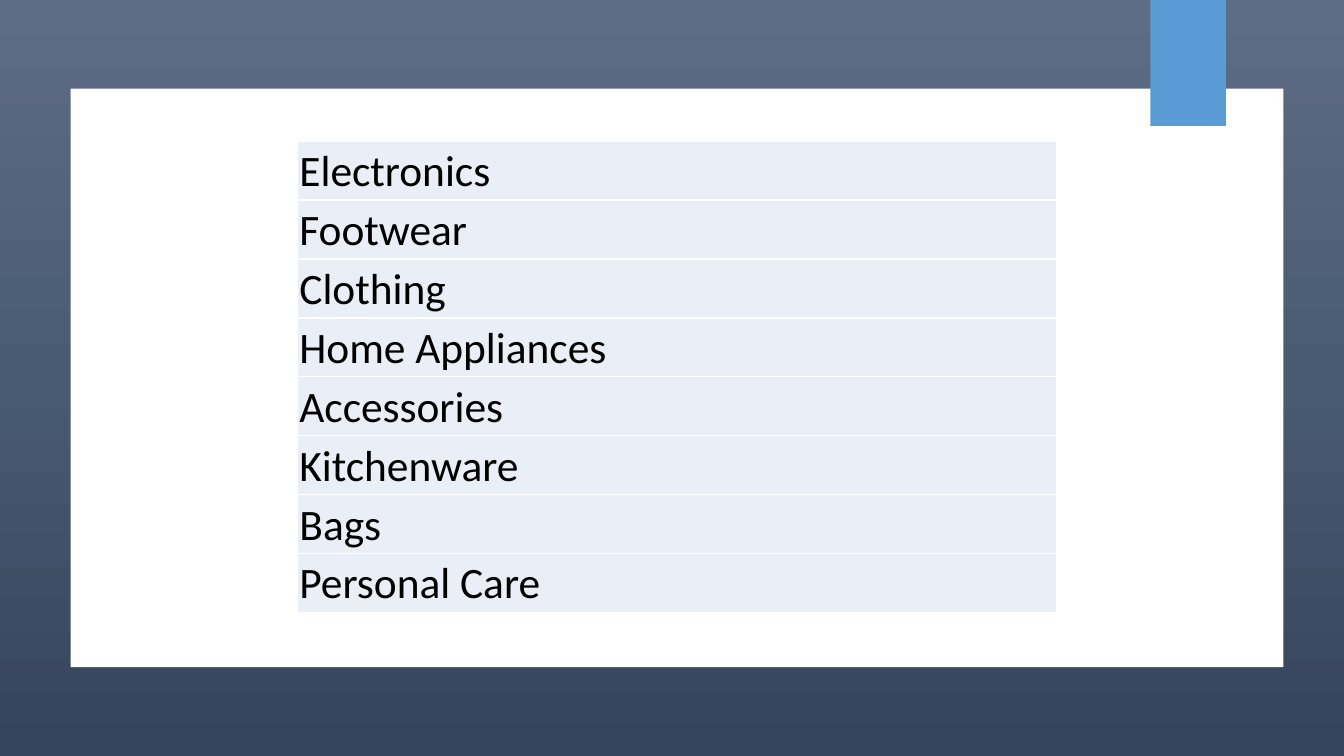
"""Build a slide listing product categories in a one-column table."""
from copy import deepcopy

from lxml import etree
from pptx import Presentation, util as u
from pptx.dml.color import RGBColor
from pptx.enum import shapes, text
from pptx.oxml.ns import qn

THEME = {
    "backdrop": ((0, "5E6D85"), (0.5, "495A73"), (1, "35445A")),
    "panel": "FFFFFF",
    "ribbon": "5B9BD5",
    "row": "EAEFF7",
    "rule": "FFFFFF",
    "ink": "000000",
    "font": "Calibri",
    "size": 31,
}
CATEGORIES = (
    "Electronics", "Footwear", "Clothing", "Home Appliances",
    "Accessories", "Kitchenware", "Bags", "Personal Care",
)
ROW_HEIGHT = 0.585

deck = Presentation()
deck.slide_width, deck.slide_height = u.Inches(13.33), u.Inches(7.5)
slide = deck.slides.add_slide(deck.slide_layouts[6])


def add_block(left, top, width, height, color):
    block = slide.shapes.add_shape(
        shapes.MSO_SHAPE.RECTANGLE, *map(u.Inches, (left, top, width, height)))
    block.shadow.inherit = False
    block.line.fill.background()
    block.fill.solid()
    block.fill.fore_color.rgb = RGBColor.from_string(color)
    return block


backdrop = add_block(0, 0, 13.33, 7.5, THEME["panel"])
backdrop.fill.gradient()
backdrop.fill.gradient_angle = 270
stop_list = backdrop.element.spPr.find(".//" + qn("a:gsLst"))
stop_list.append(deepcopy(stop_list[0]))
for stop, (position, color) in zip(backdrop.fill.gradient_stops, THEME["backdrop"]):
    stop.position = position
    stop.color.rgb = RGBColor.from_string(color)

add_block(0.7, 0.88, 12.03, 5.74, THEME["panel"])
add_block(11.41, 0, 0.75, 1.25, THEME["ribbon"])

category_table = slide.shapes.add_table(
    len(CATEGORIES), 1, u.Inches(2.95), u.Inches(1.4),
    u.Inches(7.53), u.Inches(ROW_HEIGHT * len(CATEGORIES))).table
category_table.first_row = False
category_table.horz_banding = False

for row, category in zip(category_table.rows, CATEGORIES):
    row.height = u.Inches(ROW_HEIGHT)
    cell = row.cells[0]
    cell.margin_left = cell.margin_top = cell.margin_right = u.Inches(0.02)
    cell.margin_bottom = 0
    cell.vertical_anchor = text.MSO_ANCHOR.MIDDLE
    cell.text_frame.text = category
    font = cell.text_frame.paragraphs[0].runs[0].font
    font.name, font.size = THEME["font"], u.Pt(THEME["size"])
    font.color.rgb = RGBColor.from_string(THEME["ink"])
    properties = cell._tc.get_or_add_tcPr()
    for side in ("a:lnL", "a:lnR", "a:lnT", "a:lnB"):
        border = etree.SubElement(properties, qn(side), w=str(u.Pt(1)))
        paint = etree.SubElement(border, qn("a:solidFill"))
        etree.SubElement(paint, qn("a:srgbClr"), val=THEME["rule"])
    cell.fill.solid()
    cell.fill.fore_color.rgb = RGBColor.from_string(THEME["row"])

deck.save("out.pptx")
